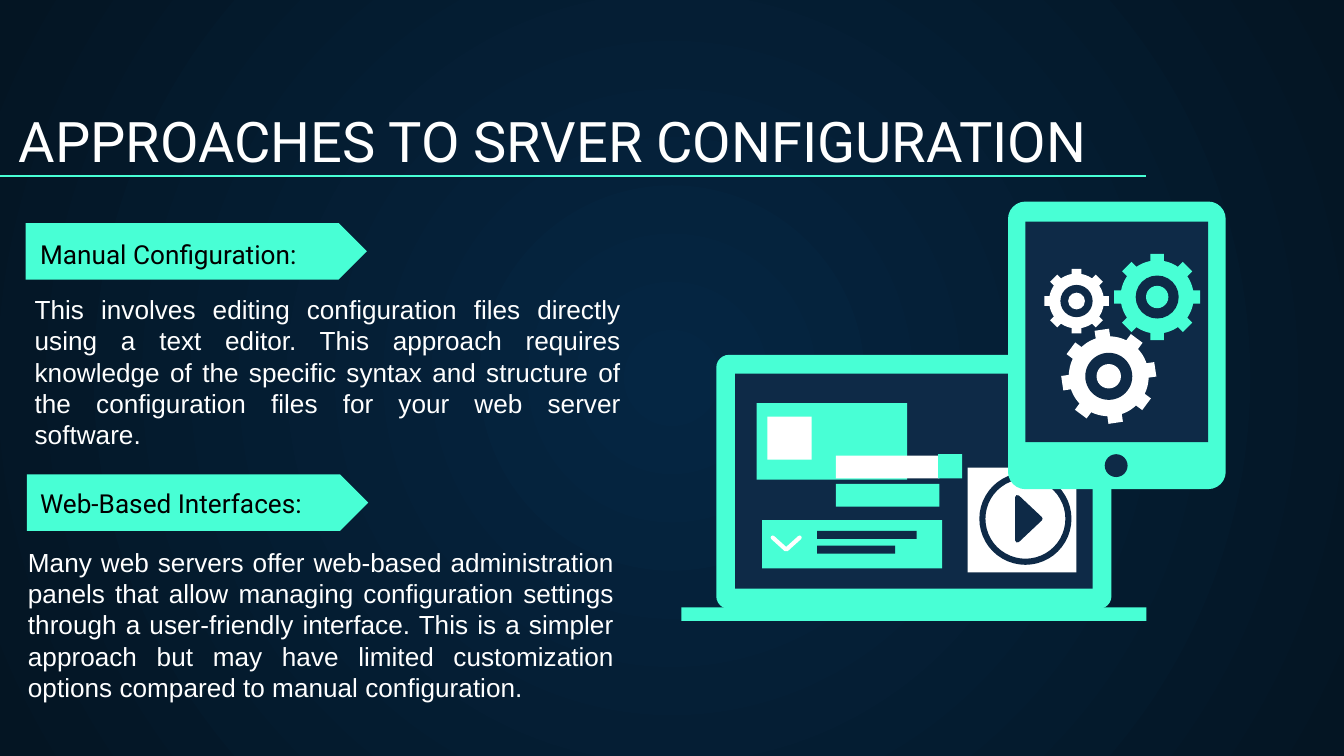
import math

import pptx
import pptx.util
import pptx.dml.color
import pptx.enum.dml
import pptx.enum.shapes
import pptx.enum.text
from lxml import etree
from pptx.oxml.ns import qn

Inches, Pt = pptx.util.Inches, pptx.util.Pt
RGB = pptx.dml.color.RGBColor.from_string
SHAPE = pptx.enum.shapes.MSO_SHAPE
ALIGN = pptx.enum.text.PP_ALIGN
COLORS = {"mint": "48FFD5", "navy": "0E2A47", "white": "FFFFFF", "black": "000000",
          "glow": "052643", "night": "041523"}

prs = pptx.Presentation()
prs.slide_width = Inches(10)
prs.slide_height = Inches(10 * 9 / 16)
s = prs.slides.add_slide(prs.slide_layouts[5])


def add(kind, x, y, w, h, color):
    sp = s.shapes.add_shape(kind, Inches(x), Inches(y), Inches(w), Inches(h))
    sp.shadow.inherit = False
    sp.fill.solid()
    sp.fill.fore_color.rgb = RGB(COLORS[color])
    sp.line.fill.background()
    return sp


def outline(points, color, close=True):
    points = [(Inches(x), Inches(y)) for x, y in points]
    builder = s.shapes.build_freeform(*points[0])
    builder.add_line_segments(points[1:], close=close)
    sp = builder.convert_to_shape()
    sp.shadow.inherit = False
    sp.fill.solid()
    sp.fill.fore_color.rgb = RGB(COLORS[color])
    sp.line.fill.background()
    return sp


# Background: radial gradient from the centre
fill = s.background.fill
fill.gradient()
for stop, color in zip(fill.gradient_stops, ("glow", "night")):
    stop.color.rgb = RGB(COLORS[color])
grad = s.background._cSld.find(".//" + qn("a:gradFill"))
grad.remove(grad.find(qn("a:lin")))
radial = etree.SubElement(grad, qn("a:path"), path="circle")
etree.SubElement(radial, qn("a:fillToRect"), l="50000", t="50000", r="50000", b="50000")

# Heading arrows
for x, y in ((0.19, 1.66), (0.2, 3.53)):
    add(SHAPE.PENTAGON, x, y, 2.54, 0.42, "mint")

# Texts
texts = [
    ("APPROACHES TO SRVER CONFIGURATION", 0.04, 0.73, 8.57, 0.66, 30, "Roboto", "white", ALIGN.LEFT),
    ("Manual Configuration:", 0.2, 1.67, 2.27, 0.44, 14, "Roboto", "black", ALIGN.LEFT),
    ("This involves editing configuration files directly using a text editor. This approach "
     "requires knowledge of the specific syntax and structure of the configuration files for "
     "your web server software.", 0.16, 2.14, 4.56, 1.31, 14, "Arial", "white", ALIGN.JUSTIFY),
    ("Web-Based Interfaces:", 0.2, 3.61, 2.27, 0.35, 14, "Roboto", "black", ALIGN.LEFT),
    ("Many web servers offer web-based administration panels that allow managing configuration "
     "settings through a user-friendly interface. This is a simpler approach but may have "
     "limited customization options compared to manual configuration.",
     0.11, 4.02, 4.56, 1.31, 14, "Arial", "white", ALIGN.JUSTIFY),
]
for i, (text, x, y, w, h, size, font, color, align) in enumerate(texts):
    box = Inches(x), Inches(y), Inches(w), Inches(h)
    if i == 0:
        sp = s.shapes.title
        sp.left, sp.top, sp.width, sp.height = box
    else:
        sp = s.shapes.add_textbox(*box)
    tf = sp.text_frame
    tf.text = text
    tf.word_wrap = True
    tf.auto_size = pptx.enum.text.MSO_AUTO_SIZE.NONE
    tf.vertical_anchor = pptx.enum.text.MSO_ANCHOR.BOTTOM
    tf.margin_left = tf.margin_right = tf.margin_top = tf.margin_bottom = Inches(0.1)
    p = tf.paragraphs[0]
    p.alignment = align
    r = p.runs[0]
    r.font.size = Pt(size)
    r.font.name = font
    r.font.color.rgb = RGB(COLORS[color])

# Rule under the title
rule = s.shapes.add_connector(pptx.enum.shapes.MSO_CONNECTOR.STRAIGHT,
                              Inches(0), Inches(1.31), Inches(8.53), Inches(1.31))
rule.line.color.rgb = RGB(COLORS["mint"])
rule.line.width = Pt(0.75)
etree.SubElement(rule._element.spPr, qn("a:effectLst"))

# Laptop
case = add(SHAPE.ROUNDED_RECTANGLE, 5.33, 2.64, 2.94, 1.89, "mint")
case.adjustments[0] = 0.05
for x, y, w, h, color in [
    (5.47, 2.78, 2.66, 1.6, "navy"),     # screen
    (5.07, 4.52, 3.46, 0.1, "mint"),     # base
    (5.63, 3, 1.12, 0.57, "mint"),       # profile card
    (5.71, 3.1, 0.33, 0.32, "white"),
    (5.67, 3.87, 1.34, 0.36, "mint"),    # list card
    (6.08, 3.95, 0.74, 0.06, "navy"),
    (6.08, 4.06, 0.58, 0.06, "navy"),
    (6.22, 3.6, 0.77, 0.17, "mint"),     # search fields
    (6.22, 3.39, 0.77, 0.17, "white"),
    (6.98, 3.38, 0.18, 0.18, "mint"),
    (7.2, 3.48, 0.81, 0.78, "white"),    # video tile
]:
    add(SHAPE.RECTANGLE, x, y, w, h, color)

chevron = outline([(5.75, 4), (5.85, 4.09), (5.95, 4)], "white", close=False)
chevron.fill.background()
play_ring = add(SHAPE.OVAL, 7.31, 3.54, 0.64, 0.64, "white")
play = outline([(7.57, 3.7), (7.74, 3.86), (7.57, 4.02)], "navy")
for sp, color, width in ((chevron, "white", 2.25), (play_ring, "navy", 3.25), (play, "navy", 2.5)):
    sp.line.color.rgb = RGB(COLORS[color])
    sp.line.width = Pt(width)
    ln = sp.line._get_or_add_ln()
    ln.set("cap", "rnd")
    etree.SubElement(ln, qn("a:round"))

# Tablet
tablet = add(SHAPE.ROUNDED_RECTANGLE, 7.5, 1.5, 1.62, 2.14, "mint")
tablet.adjustments[0] = 0.08
add(SHAPE.RECTANGLE, 7.63, 1.65, 1.36, 1.64, "navy")
add(SHAPE.OVAL, 8.22, 3.38, 0.17, 0.17, "navy")

# Gears: centre, outer radius, turn in degrees, colour
TEETH = 8
for cx, cy, radius, turn, color in [
    (8.61, 2.21, 0.32, 0, "mint"),
    (8.01, 2.24, 0.24, 0, "white"),
    (8.25, 2.8, 0.35, -8.5, "white"),
]:
    root, half_tooth = 0.85 * radius, 0.155 * radius
    spread = math.asin(half_tooth / root)
    gap = 2 * math.pi / TEETH - 2 * spread
    points = []
    for i in range(TEETH):
        a = math.radians(turn) + 2 * math.pi * i / TEETH
        for side in (-half_tooth, half_tooth):
            points.append((cx + side * math.cos(a) + radius * math.sin(a),
                           cy + side * math.sin(a) - radius * math.cos(a)))
        for step in range(7):
            b = a + spread + gap * step / 6
            points.append((cx + root * math.sin(b), cy - root * math.cos(b)))
    outline(points, color)
    for share, disc in ((0.5, "navy"), (0.26, color)):
        d = share * radius
        add(SHAPE.OVAL, cx - d, cy - d, 2 * d, 2 * d, disc)

prs.save("out.pptx")
